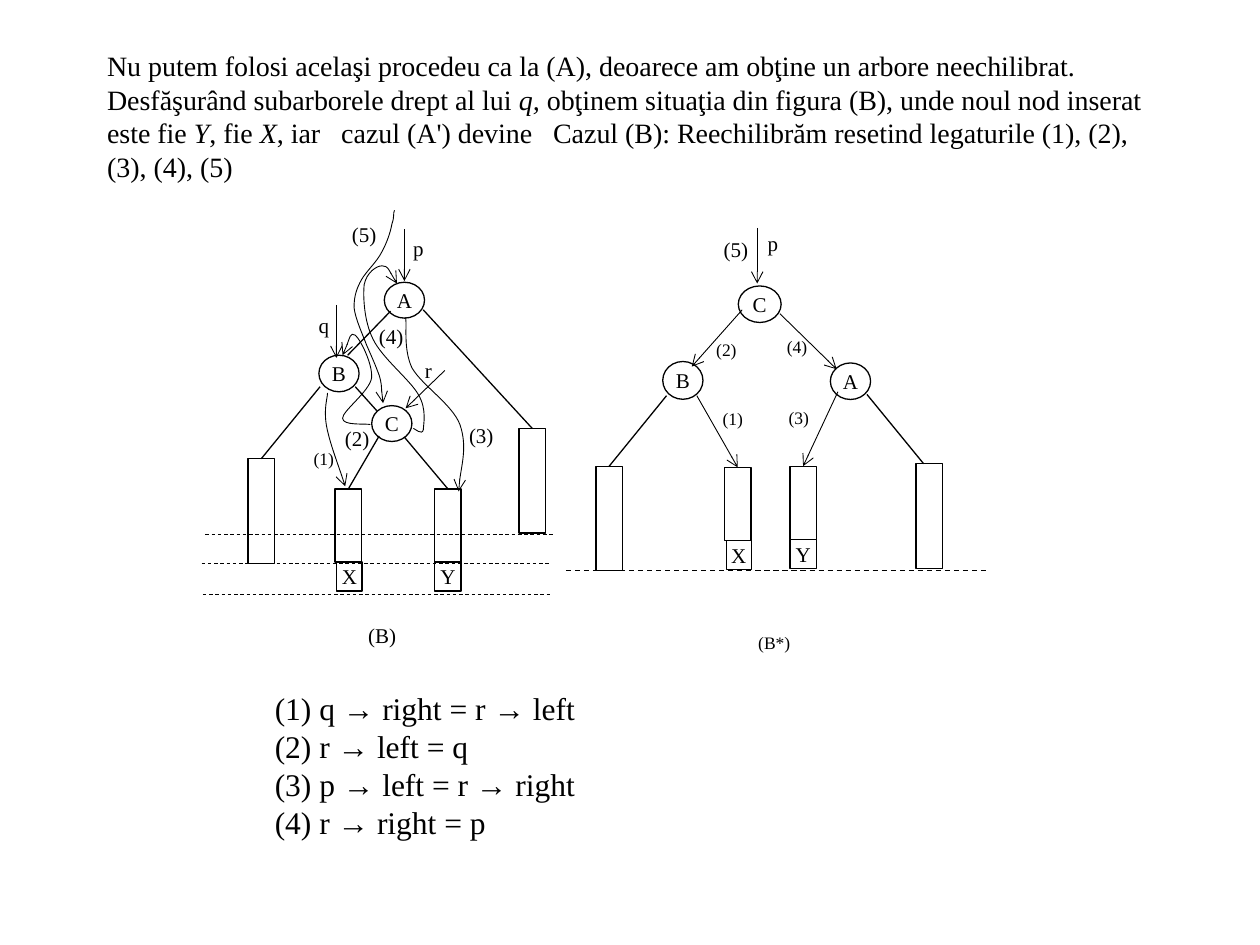
from lxml.etree import SubElement
from pptx import Presentation
from pptx.dml.color import RGBColor
from pptx.enum.dml import MSO_LINE
from pptx.enum.shapes import MSO_CONNECTOR, MSO_SHAPE
from pptx.enum.text import MSO_ANCHOR, MSO_AUTO_SIZE, PP_ALIGN
from pptx.oxml.ns import qn
from pptx.util import Pt

BLACK = RGBColor(0, 0, 0)
WHITE = RGBColor(255, 255, 255)
FONT = "Times New Roman"


def write(par, text, size, slant=False):
    run = par.add_run()
    run.text = text
    run.font.name = FONT
    run.font.size = Pt(size)
    run.font.italic = slant
    run.font.color.rgb = BLACK


def draw(item, width, arrow=False):
    item.line.color.rgb = BLACK
    item.line.width = Pt(width)
    props = item._element.spPr
    if arrow:
        SubElement(props.get_or_add_ln(), qn("a:tailEnd"), type="arrow")
    if props.find(qn("a:effectLst")) is None:
        SubElement(props, qn("a:effectLst"))


deck = Presentation()
deck.slide_width = Pt(720)
deck.slide_height = Pt(540)
slide = deck.slides.add_slide(deck.slide_layouts[1])
shapes = slide.shapes

title, body = slide.placeholders
places = [(title, 54, 30.2, 612, 72), (body, 77.8, 390.2, 282.2, 126.7)]
for holder, x, y, w, h in places:
    holder.left, holder.top, holder.width, holder.height = Pt(x), Pt(y), Pt(w), Pt(h)
    holder.text_frame.auto_size = MSO_AUTO_SIZE.NONE
title.text_frame.vertical_anchor = MSO_ANCHOR.MIDDLE
par = title.text_frame.paragraphs[0]
par.alignment = PP_ALIGN.LEFT
for text, slant in [
    ("Nu putem folosi acelaşi procedeu ca la (A), deoarece am obţine un arbore "
     "neechilibrat. Desfăşurând subarborele drept al lui ", False),
    ("q,", True),
    (" obţinem situaţia din figura (B), unde noul nod inserat este fie ", False),
    ("Y", True),
    (", fie ", False),
    ("X", True),
    (", iar   cazul (A') devine   Cazul (B): Reechilibrăm resetind legaturile "
     "(1), (2), (3), (4), (5)", False),
]:
    write(par, text, 16, slant)

steps = ["(1) q → right = r → left", "(2) r → left = q",
         "(3) p → left = r → right", "(4) r → right = p"]
for i, step in enumerate(steps):
    frame = body.text_frame
    par = frame.add_paragraph() if i else frame.paragraphs[0]
    par.alignment = PP_ALIGN.JUSTIFY
    par.space_before = Pt(0)
    props = par._p.get_or_add_pPr()
    props.set("marL", str(Pt(72)))
    props.set("indent", "0")
    SubElement(props, qn("a:buNone"))
    write(par, step, 18)

WIDE, TALL, SHORT, CELL = 15.1, 59.8, 41.8, 16.6
OVAL, BOX = MSO_SHAPE.FLOWCHART_CONNECTOR, MSO_SHAPE.RECTANGLE
trees = {
    "left": (141.8, 262.1, TALL), "right": (296.6, 244.8, TALL),
    "X": (191.5, 279.4, SHORT), "Y": (248.4, 279.4, SHORT),
    "left*": (340.6, 266.4, TALL), "right*": (523.4, 265, TALL),
    "X*": (414, 267.1, SHORT), "Y*": (451.4, 266.4, SHORT),
}
nodes = [
    (OVAL, "A", 219.6, 161.3, 23, 20.5), (OVAL, "B", 182.2, 203, 23, 20.9),
    (OVAL, "C", 212.4, 231.8, 23, 20.5), (OVAL, "C", 421.9, 163.4, 24.5, 20.9),
    (OVAL, "B", 378.7, 206.6, 23, 21.6), (OVAL, "A", 474.5, 207.4, 23, 20.9),
]
for name, (x, y, h) in trees.items():
    nodes.append((BOX, name, x, y, WIDE, h))
    if h == SHORT:
        inset = 1 if name[0] == "X" else 0
        nodes.append((BOX, name[0], x + inset, y + h, WIDE - 0.7 * inset, CELL))

tops = {}
for kind, name, x, y, w, h in nodes:
    node = shapes.add_shape(kind, Pt(x), Pt(y), Pt(w), Pt(h))
    node.shadow.inherit = False
    node.fill.solid()
    node.fill.fore_color.rgb = WHITE
    draw(node, 0.75)
    if h in (TALL, SHORT):
        tops[name] = node
        continue
    frame = node.text_frame
    frame.margin_left = frame.margin_right = frame.margin_top = frame.margin_bottom = 0
    frame.vertical_anchor = MSO_ANCHOR.MIDDLE
    frame.paragraphs[0].alignment = PP_ALIGN.CENTER
    write(frame.paragraphs[0], name, 12)

edges = [
    (223.2, 177.8, (198.7, 203)), (203, 221, (215.3, 234.7)),
    (182.9, 221, "left"), (241.9, 177.1, "right"),
    (216.7, 249.1, "X"), (231.1, 249.8, "Y"),
    (380.9, 226.1, "left*"), (495.4, 225.4, (527.8, 265)),
]
arrows = [
    (231.1, 131, (231.1, 160.6)), (192.2, 174.2, (192.2, 204.5)),
    (254.2, 211.7, (231.8, 233.3)), (432.7, 130.3, (432.7, 162)),
    (424.1, 177.1, (395.3, 209.5)), (445.7, 179.3, (478.1, 211)),
    (398.2, 226.1, "X*"), (478.8, 223.9, "Y*"),
]
for links, width, arrow in [(edges, 0.75, False), (arrows, 0.5, True)]:
    for x, y, end in links:
        goal = (x, y) if end in tops else end
        link = shapes.add_connector(MSO_CONNECTOR.STRAIGHT, Pt(x), Pt(y), Pt(goal[0]), Pt(goal[1]))
        if end in tops:
            link.end_connect(tops[end], 0)
        draw(link, width, arrow)

levels = [(115.2, 313.9, 321.8, 0.5), (115.9, 315.4, 339.8, 0.5),
          (117.4, 316.1, 305.3, 0.5), (323.3, 563.8, 326.2, 0.75)]
for x, end, y, width in levels:
    level = shapes.add_connector(MSO_CONNECTOR.STRAIGHT, Pt(x), Pt(y), Pt(end), Pt(y))
    level.line.dash_style = MSO_LINE.DASH
    draw(level, width)

curves = [
    [(187.2, 224.6), (187.2, 227.5), (185, 233.3), (186.5, 242.6),
     (187.9, 251.3), (195.1, 270.7), (197.3, 277.9)],
    [(211.7, 242.6), (208.8, 241.9), (195.8, 243.4), (195.8, 239),
     (195.8, 234.7), (211, 223.9), (212.4, 216), (213.1, 208.1),
     (205.9, 193.7), (203, 191.5), (200.2, 189.4), (197.3, 200.9), (195.8, 203)],
    [(231.8, 181.4), (232.6, 186.5), (230.4, 199.4), (235.4, 210.2),
     (241.2, 220.3), (258.5, 231.1), (262.8, 242.6),
     (267.1, 254.9), (262.1, 272.9), (262.1, 280.8)],
    [(236.2, 244.8), (236.9, 244.8), (241.2, 249.1), (241.9, 245.5),
     (241.9, 242.6), (244.1, 234), (239, 225.4), (234, 216.7),
     (218.2, 204.5), (213.1, 193.7), (208.1, 183.6), (207.4, 169.9),
     (208.1, 162.7), (209.5, 155.5), (215.3, 151.9), (218.2, 151.9),
     (221.8, 151.9), (225.4, 159.8), (226.8, 162)],
    [(225.4, 120.2), (224.6, 121.7), (225.4, 124.6), (223.9, 128.2),
     (223.2, 132.5), (221, 139), (218.2, 144), (215.3, 149.8),
     (209.5, 154.8), (206.6, 159.8), (203.8, 164.9), (202.3, 169.2),
     (202.3, 175.7), (203, 182.2), (207.4, 191.5), (209.5, 197.3),
     (212.4, 203.8), (214.6, 208.8), (216.7, 214.6), (218.2, 219.6),
     (218.2, 227.5), (218.9, 230.4)],
]
for points in curves:
    start, *rest = [(Pt(x), Pt(y)) for x, y in points]
    pen = shapes.build_freeform(*start)
    pen.add_line_segments(rest, close=False)
    curve = pen.convert_to_shape()
    curve.shadow.inherit = False
    curve.fill.background()
    draw(curve, 0.5, True)
    track = next(curve._element.iter(qn("a:path")))
    for i, leg in enumerate(track.findall(qn("a:lnTo"))):
        if i % 3 == 0:
            bend = SubElement(track, qn("a:cubicBezTo"))
        bend.append(leg[0])
        track.remove(leg)

labels = [
    ("(5)", 193, 123.8, 30.2, 12), ("p", 229.7, 131.8, 18.7, 12),
    ("q", 175.7, 175.7, 18.7, 12), ("(4)", 205.9, 182.2, 35.3, 12),
    ("r", 235.4, 201.6, 18.7, 12), ("(2)", 187.2, 240.5, 33.8, 12),
    ("(3)", 262.1, 238.3, 25.9, 12), ("(1)", 172.1, 253.4, 25.9, 10),
    ("(B)", 202.3, 352.8, 32, 12),
    ("(5)", 403.2, 132.5, 34.6, 12), ("p", 432, 128.9, 19.4, 12),
    ("(2)", 400.3, 190.8, 29.5, 10), ("(4)", 439.9, 189.4, 31, 10),
    ("(1)", 399.6, 230.4, 38.2, 10), ("(3)", 442.1, 229.7, 28.8, 10),
    ("(B*)", 426.2, 358.5, 32.4, 10),
]
for text, x, y, w, size in labels:
    frame = shapes.add_textbox(Pt(x), Pt(y), Pt(w), Pt(21.5)).text_frame
    frame.word_wrap = True
    frame.margin_left = frame.margin_right = frame.margin_top = frame.margin_bottom = Pt(2.9)
    frame.paragraphs[0].alignment = PP_ALIGN.CENTER
    write(frame.paragraphs[0], text, size)

deck.save("out.pptx")
